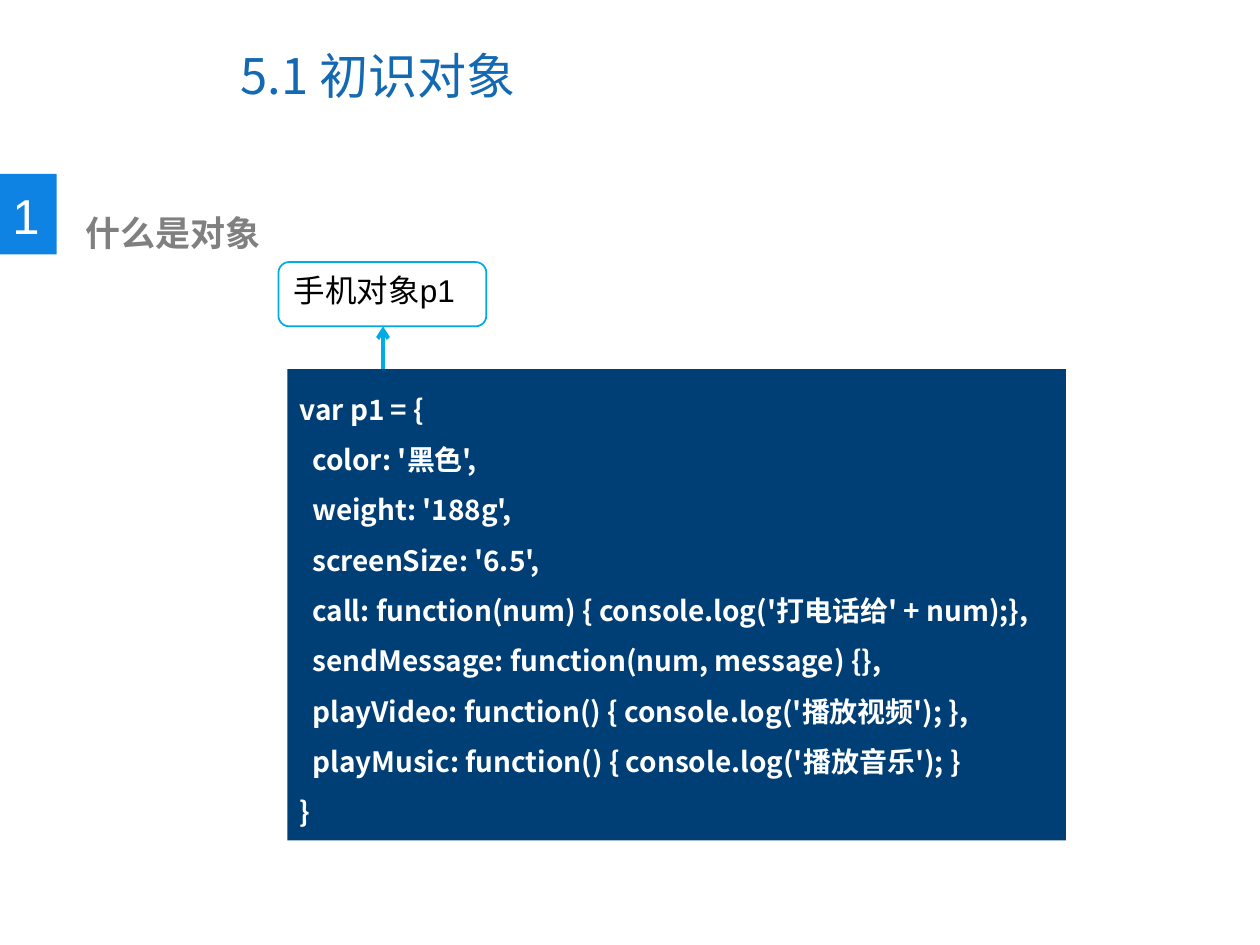
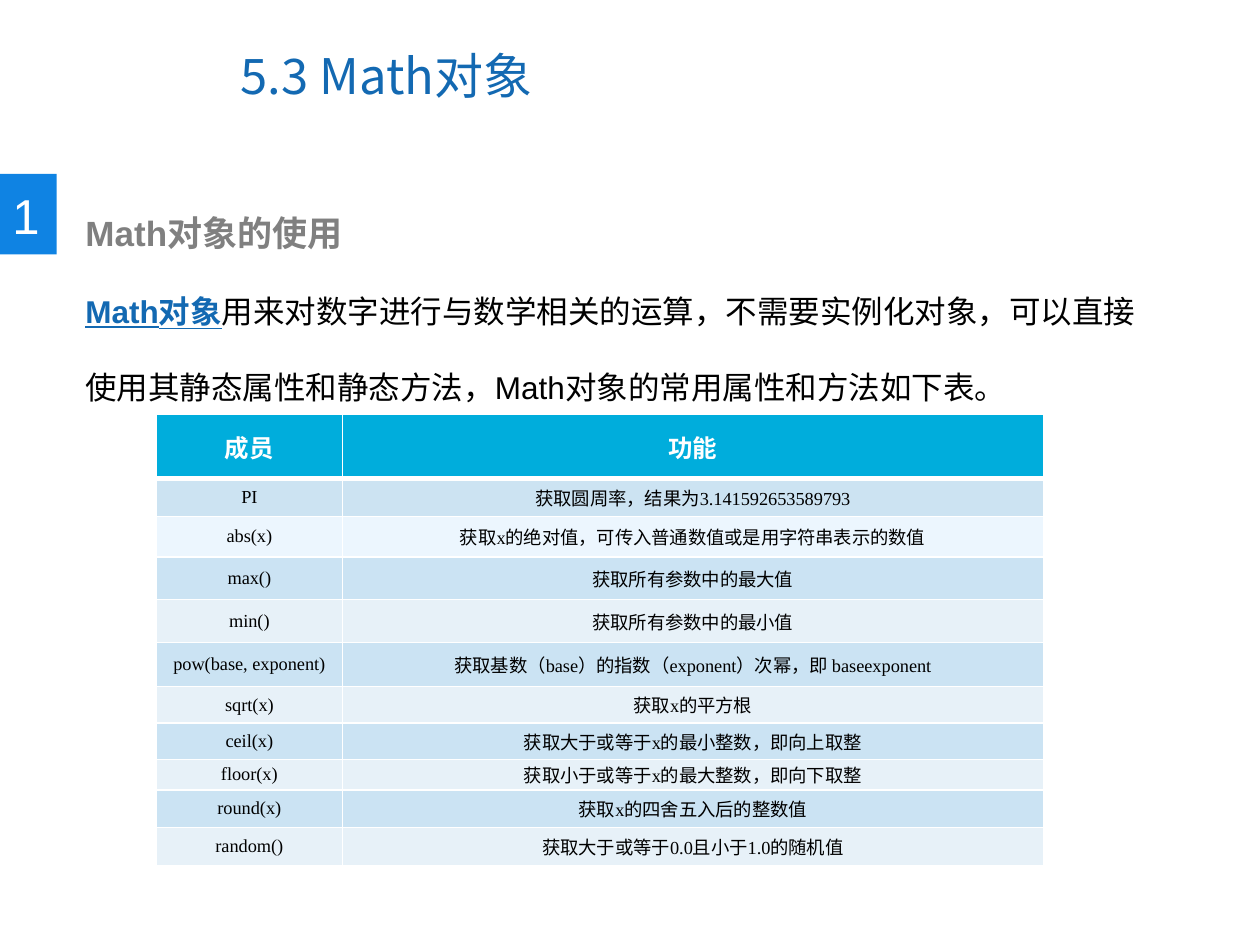
from lxml import etree
from pptx import Presentation
from pptx.dml.color import RGBColor
from pptx.enum.shapes import MSO_CONNECTOR, MSO_SHAPE
from pptx.enum.text import MSO_ANCHOR, MSO_AUTO_SIZE, PP_ALIGN
from pptx.oxml.ns import qn
from pptx.util import Inches, Pt

RECT, ROUND = MSO_SHAPE.RECTANGLE, MSO_SHAPE.ROUNDED_RECTANGLE
LINE = MSO_CONNECTOR.STRAIGHT
TOP, MIDDLE = MSO_ANCHOR.TOP, MSO_ANCHOR.MIDDLE
LEFT, CENTER = PP_ALIGN.LEFT, PP_ALIGN.CENTER
NO_FIT = MSO_AUTO_SIZE.NONE

COLS, ROWS = 100, 75  # the slide grid
SIZE = Inches(10), Inches(7.5)
HAN, SANS, SERIF = "Noto Sans CJK SC", "Arial", "Times New Roman"
HUES = {
    "title": "1369B2", "badge": "0F83E3", "head": "808080", "code": "003F75",
    "edge": "00ACE6", "top": "00ADDC", "first": "CCE3F2", "second": "ECF6FE",
    "odd": "CBE3F3", "even": "E7F1F8", "white": "FFFFFF", "black": "000000",
}

CODE = """var p1 = {
  color: '黑色',
  weight: '188g',
  screenSize: '6.5',
  call: function(num) { console.log('打电话给' + num);},
  sendMessage: function(num, message) {},
  playVideo: function() { console.log('播放视频'); },
  playMusic: function() { console.log('播放音乐'); }
}"""

INTRO = ("用来对数字进行与数学相关的运算，不需要实例化对象，可以直接使用其静态属性和静态方法，"
         "Math对象的常用属性和方法如下表。")

# Member, what it does, row height on the grid
MEMBERS = [
    ("成员", "功能", 5.1),
    ("PI", "获取圆周率，结果为3.141592653589793", 3),
    ("abs(x)", "获取x的绝对值，可传入普通数值或是用字符串表示的数值", 3.2),
    ("max()", "获取所有参数中的最大值", 3.4),
    ("min()", "获取所有参数中的最小值", 3.4),
    ("pow(base, exponent)", "获取基数（base）的指数（exponent）次幂，即 baseexponent", 3.5),
    ("sqrt(x)", "获取x的平方根", 2.9),
    ("ceil(x)", "获取大于或等于x的最小整数，即向上取整", 2.9),
    ("floor(x)", "获取小于或等于x的最大整数，即向下取整", 2.4),
    ("round(x)", "获取x的四舍五入后的整数值", 3),
    ("random()", "获取大于或等于0.0且小于1.0的随机值", 3),
]


def across(cols):
    return int(SIZE[0] * cols / COLS)


def down(rows):
    return int(SIZE[1] * rows / ROWS)


def place(box):
    x, y, w, h = box
    return across(x), down(y), across(w), down(h)


def hue(name):
    return RGBColor.from_string(HUES[name])


def style(font, size, color, name=SANS, bold=None):
    font.size, font.name, font.bold = Pt(size), name, bold
    font.color.rgb = hue(color)


def set_han(para):
    """Give Chinese text its own font."""
    for props in para._p.iter(qn("a:defRPr"), qn("a:rPr")):
        if props.find(qn("a:latin")) is not None:
            etree.SubElement(props, qn("a:ea"), typeface=HAN)


def write(frame, text, size, color, name=SANS, bold=None, space=None, align=LEFT):
    frame.text = text
    for para in frame.paragraphs:
        para.alignment = align
        if space:
            para.line_spacing = space
        style(para.font, size, color, name, bold)
        set_han(para)


def add_text(slide, box):
    frame = slide.shapes.add_textbox(*place(box)).text_frame
    frame.word_wrap = True
    return frame


def add_block(slide, kind, box, fill, edge=None):
    shape = slide.shapes.add_shape(kind, *place(box))
    shape.shadow.inherit = False
    shape.fill.solid()
    shape.fill.fore_color.rgb = hue(fill)
    if edge:
        shape.line.color.rgb = hue(edge)
        shape.line.width = Pt(1)
    else:
        shape.line.fill.background()
    shape.text_frame.vertical_anchor = TOP
    return shape


def add_arrow(slide, x, start, end):
    line = slide.shapes.add_connector(
        LINE, across(x), down(start), across(x), down(end))
    line.line.color.rgb = hue("edge")
    line.line.width = Pt(2.25)
    etree.SubElement(line.line._get_or_add_ln(), qn("a:tailEnd"), type="arrow")
    etree.SubElement(line._element.spPr, qn("a:effectLst"))


# Title, numbered badge and heading, shared by both slides
def add_page(deck, title, head, number="1"):
    slide = deck.slides.add_slide(deck.slide_layouts[5])
    holder = slide.shapes.title
    holder.left, holder.top, holder.width, holder.height = place((18.1, 1.7, 51.6, 8.5))
    frame = holder.text_frame
    frame.auto_size, frame.vertical_anchor = NO_FIT, MIDDLE
    write(frame, title, 28, "title", HAN)

    frame = add_block(slide, RECT, (0, 13.8, 4.5, 6.4), "badge").text_frame
    frame.margin_top, frame.margin_right = down(0.9), 0
    write(frame, number, 28, "white")

    write(add_text(slide, (5.8, 16.3, 50.3, 4.4)), head, 20, "head", bold=True)
    return slide


# Code panel with a label above it
def add_code(slide, box, name, code):
    x, y, w, h = box
    gap, label = 0.7, 5.1
    panel = y + 8.5
    frame = add_block(slide, RECT, (x + gap, panel, w - gap, h - 8.5), "code").text_frame
    write(frame, code, 16, "white", HAN, True, 1.5)
    add_arrow(slide, x + 8.3, panel, y + label)
    frame = add_block(slide, ROUND, (x, y, 16.5, label), "white", "edge").text_frame
    write(frame, name, 18, "black")


# Opening paragraph with an underlined key term
def add_intro(slide, box, term, rest):
    para = add_text(slide, box).paragraphs[0]
    para.line_spacing = 2
    for text, color, key in ((term, "title", True), (rest, "black", False)):
        run = para.add_run()
        run.text = text
        style(run.font, 18, color, bold=key)
        run.font.underline = key
    set_han(para)


def add_edges(cell, top, bottom):
    props = cell._tc.get_or_add_tcPr()
    for spot, (side, width) in enumerate(
            (("L", 1), ("R", 1), ("T", top), ("B", bottom))):
        line = etree.Element(qn("a:ln" + side), w=str(Pt(width)))
        fill = etree.SubElement(line, qn("a:solidFill"))
        etree.SubElement(fill, qn("a:srgbClr"), val=HUES["white"])
        props.insert(spot, line)


# Table of members
def add_members(slide, box, rows, share=0.21):
    table = slide.shapes.add_table(len(rows), 2, *place(box)).table
    wide = across(box[2])
    table.columns[0].width = int(wide * share)
    table.columns[1].width = wide - table.columns[0].width
    fills = ["top", "first", "second"]
    for r, (*texts, height) in enumerate(rows):
        table.rows[r].height = down(height)
        fill = fills[r] if r < len(fills) else ("odd" if r % 2 else "even")
        for c, text in enumerate(texts):
            cell = table.cell(r, c)
            cell.fill.solid()
            cell.fill.fore_color.rgb = hue(fill)
            cell.vertical_anchor = MIDDLE
            cell.margin_left = cell.margin_right = across(0.7 if r else 0.8)
            cell.margin_top = cell.margin_bottom = 0
            size, color = (10.5, "black") if r else (14, "white")
            write(cell.text_frame, text, size, color, SERIF, r == 0, align=CENTER)
            add_edges(cell, 3 if r == 1 else 1, 1 if r else 3)


def main():
    deck = Presentation()
    deck.slide_width, deck.slide_height = SIZE

    slide = add_page(deck, "5.1 初识对象", "什么是对象")
    add_code(slide, (22.1, 20.8, 62.5, 45.9), "手机对象p1", CODE)

    slide = add_page(deck, "5.3 Math对象", "Math对象的使用")
    add_intro(slide, (5.8, 19.7, 86.5, 13.1), "Math对象", INTRO)
    add_members(slide, (12.4, 32.9, 70.4, sum(row[2] for row in MEMBERS)), MEMBERS)

    deck.save("out.pptx")


if __name__ == "__main__":
    main()
